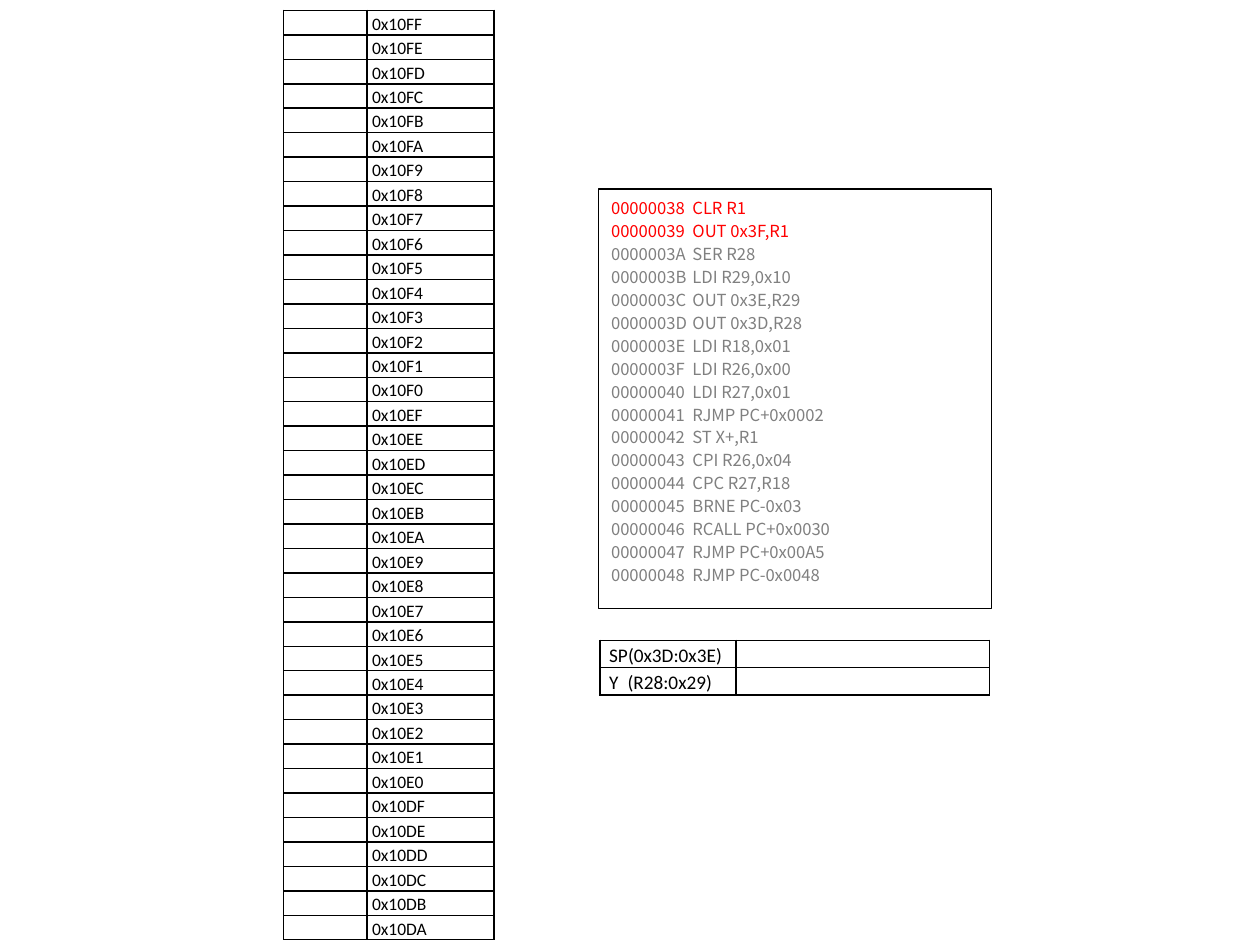
from dataclasses import dataclass

from lxml import etree
from pptx import Presentation
from pptx.dml.color import RGBColor
from pptx.enum.shapes import MSO_SHAPE
from pptx.enum.text import MSO_ANCHOR, PP_ALIGN
from pptx.oxml.ns import qn
from pptx.util import Cm, Length, Pt

RECTANGLE = MSO_SHAPE.RECTANGLE
TOP = MSO_ANCHOR.TOP
LEFT = PP_ALIGN.LEFT

COLORS = {"ink": "000000", "paper": "FFFFFF", "active": "FF0000", "pending": "808080"}
TABLE_FONT = "Calibri"
CODE_FONT = "Noto Sans CJK SC"
BORDER_WIDTH = Pt(1)

FIRST_ADDRESS, LAST_ADDRESS = 0x10FF, 0x10DA
ACTIVE_LINES = 2
PROGRAM_START = 0x38
PROGRAM = [
    "CLR R1",
    "OUT 0x3F,R1",
    "SER R28",
    "LDI R29,0x10",
    "OUT 0x3E,R29",
    "OUT 0x3D,R28",
    "LDI R18,0x01",
    "LDI R26,0x00",
    "LDI R27,0x01",
    "RJMP PC+0x0002",
    "ST X+,R1",
    "CPI R26,0x04",
    "CPC R27,R18",
    "BRNE PC-0x03",
    "RCALL PC+0x0030",
    "RJMP PC+0x00A5",
    "RJMP PC-0x0048",
]


@dataclass(frozen=True)
class Grid:
    left: Length
    top: Length
    column_widths: tuple[Length, ...]
    row_height: Length
    side_margin: Length
    font_size: Length
    rows: list[tuple[str, ...]]
    tab: Length


def rgb(name: str) -> RGBColor:
    return RGBColor.from_string(COLORS[name])


def style_paragraph(paragraph, font_name: str, size: Length, color: str,
                    line_spacing, tab: Length) -> None:
    paragraph.alignment = LEFT
    paragraph.line_spacing = line_spacing
    tabs = etree.SubElement(paragraph._p.get_or_add_pPr(), qn("a:tabLst"))
    etree.SubElement(tabs, qn("a:tab"), pos=str(int(tab)), algn="l")
    paragraph.font.name = font_name
    paragraph.font.size = size
    paragraph.font.color.rgb = rgb(color)


def add_borders(cell) -> None:
    properties = cell._tc.get_or_add_tcPr()
    for side in ("lnL", "lnR", "lnT", "lnB"):
        line = etree.SubElement(properties, qn(f"a:{side}"), w=str(int(BORDER_WIDTH)))
        fill = etree.SubElement(line, qn("a:solidFill"))
        etree.SubElement(fill, qn("a:srgbClr"), val=COLORS["ink"])


def add_grid(slide, grid: Grid) -> None:
    table = slide.shapes.add_table(
        len(grid.rows), len(grid.column_widths), grid.left, grid.top,
        sum(grid.column_widths), grid.row_height * len(grid.rows),
    ).table
    table.first_row = table.horz_banding = False
    for column, width in zip(table.columns, grid.column_widths):
        column.width = width
    for row, texts in zip(table.rows, grid.rows):
        row.height = grid.row_height
        for cell, text in zip(row.cells, texts):
            add_borders(cell)
            cell.fill.background()
            cell.margin_left = cell.margin_right = grid.side_margin
            cell.margin_top = cell.margin_bottom = 0
            paragraph = cell.text_frame.paragraphs[0]
            paragraph.text = text
            style_paragraph(paragraph, TABLE_FONT, grid.font_size, "ink", 1.15, grid.tab)
            if not text:
                # An empty cell takes its line height from the end mark.
                end_mark = paragraph._p.get_or_add_endParaRPr()
                end_mark.set("sz", str(int(grid.font_size.pt * 100)))


def add_program(slide) -> None:
    panel = slide.shapes.add_shape(RECTANGLE, Cm(12.07), Cm(3.81), Cm(7.92), Cm(8.46))
    panel.shadow.inherit = False
    panel.fill.solid()
    panel.fill.fore_color.rgb = rgb("paper")
    panel.line.color.rgb = rgb("ink")
    panel.line.width = Pt(0.75)
    frame = panel.text_frame
    frame.word_wrap = True
    frame.vertical_anchor = TOP
    for index, instruction in enumerate(PROGRAM):
        paragraph = frame.add_paragraph() if index else frame.paragraphs[0]
        paragraph.text = f"{PROGRAM_START + index:08X}\t{instruction}"
        color = "active" if index < ACTIVE_LINES else "pending"
        style_paragraph(paragraph, CODE_FONT, Pt(9.5), color, Pt(13.1), Cm(1.64))


def main() -> None:
    presentation = Presentation()
    presentation.slide_width, presentation.slide_height = Cm(25.4), Cm(19.05)
    slide = presentation.slides.add_slide(presentation.slide_layouts[6])

    addresses = range(FIRST_ADDRESS, LAST_ADDRESS - 1, -1)
    stack = Grid(
        left=Cm(5.72), top=Cm(0.21), column_widths=(Cm(1.68), Cm(2.56)),
        row_height=Cm(0.49), side_margin=Cm(0.1), font_size=Pt(10),
        rows=[("", f"0x{address:04X}") for address in addresses], tab=Cm(1),
    )
    registers = Grid(
        left=Cm(12.1), top=Cm(12.91), column_widths=(Cm(2.74), Cm(5.11)),
        row_height=Cm(0.54), side_margin=Cm(0.18), font_size=Pt(11),
        rows=[("SP(0x3D:0x3E)", ""), ("Y\t(R28:0x29)", "")], tab=Cm(0.37),
    )
    for grid in (stack, registers):
        add_grid(slide, grid)
    add_program(slide)
    presentation.save("out.pptx")


if __name__ == "__main__":
    main()
